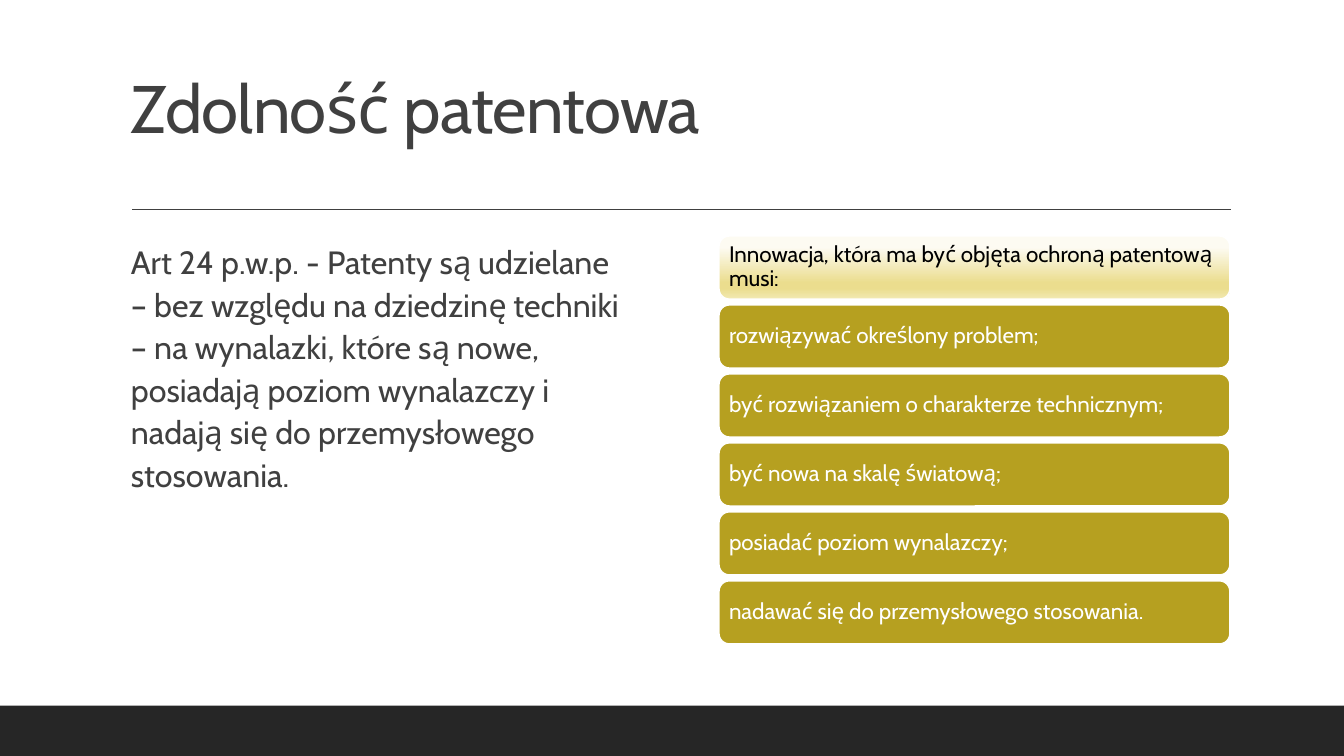
from pptx import Presentation
from pptx.dml.color import RGBColor
from pptx.enum.shapes import MSO_CONNECTOR, MSO_SHAPE
from pptx.enum.text import MSO_ANCHOR, PP_ALIGN
from pptx.oxml import parse_xml
from pptx.oxml.ns import nsdecls, qn
from pptx.util import Inches, Pt
from lxml.etree import SubElement

SLIDE_W, SLIDE_H = 13.33, 7.5
LEFT, CONTENT_W = 1.2, 11
COLUMN_W = 5.07
FONT = "Cabin"
DARK, GREY, OLIVE, WHITE, BLACK = "262626", "404040", "B6A020", "FFFFFF", "000000"
HEADER_STOPS = [(18, "FDFBF2"), (74, "EBDD8E"), (83, "EBDD8E"), (100, "F2E9B3")]

TITLE = "Zdolność patentowa"
ARTICLE = (
    "Art 24 p.w.p. - Patenty są udzielane – bez względu na dziedzinę techniki "
    "– na wynalazki, które są nowe, posiadają poziom wynalazczy i nadają się "
    "do przemysłowego stosowania."
)
REQUIREMENTS = [
    "Innowacja, która ma być objęta ochroną patentową musi:",
    "rozwiązywać określony problem;",
    "być rozwiązaniem o charakterze technicznym;",
    "być nowa na skalę światową;",
    "posiadać poziom wynalazczy;",
    "nadawać się do przemysłowego stosowania.",
]


def color(value):
    return RGBColor.from_string(value)


def inches(box):
    return [Inches(length) for length in box]


def write(shape, text, size, text_color, spacing, anchor, insets):
    """Fill a shape with one left-aligned paragraph and return its run."""
    frame = shape.text_frame
    frame.word_wrap = True
    frame.vertical_anchor = anchor
    (frame.margin_left, frame.margin_top,
     frame.margin_right, frame.margin_bottom) = inches(insets)
    paragraph = frame.paragraphs[0]
    paragraph.alignment = PP_ALIGN.LEFT
    paragraph.line_spacing = spacing
    run = paragraph.add_run()
    run.text = text
    run.font.name = FONT
    run.font.size = Pt(size)
    run.font.color.rgb = color(text_color)
    return run


def add_panel(slide, kind, box, fill):
    panel = slide.shapes.add_shape(kind, *inches(box))
    panel.shadow.inherit = False
    panel.fill.solid()
    panel.fill.fore_color.rgb = color(fill)
    panel.line.fill.background()
    return panel


def shade(panel, stops):
    """Replace the solid fill by a vertical gradient."""
    marks = "".join(
        f'<a:gs pos="{share * 1000}"><a:srgbClr val="{value}"/></a:gs>'
        for share, value in stops
    )
    gradient = parse_xml(
        f'<a:gradFill {nsdecls("a")} rotWithShape="1"><a:gsLst>{marks}</a:gsLst>'
        '<a:lin ang="5400000" scaled="0"/></a:gradFill>'
    )
    properties = panel.element.spPr
    properties.replace(properties.find(qn("a:solidFill")), gradient)


def add_title(slide, box):
    left, top, width, height = box
    title = slide.shapes.add_textbox(*inches(box))
    run = write(title, TITLE, 48, GREY, 0.9, MSO_ANCHOR.MIDDLE, (0.1, 0.05, 0.1, 0.05))
    run.font._element.set("spc", "-50")

    # Rule under the title
    rule_y = top + height + 0.18
    rule = slide.shapes.add_connector(
        MSO_CONNECTOR.STRAIGHT,
        *inches((left + 0.11, rule_y, left + width + 0.01, rule_y)),
    )
    rule.line.color.rgb = color(GREY)
    rule.line.width = Pt(1)
    SubElement(rule.element.spPr, qn("a:effectLst"))


def add_article(slide, box):
    article = slide.shapes.add_textbox(*inches(box))
    write(article, ARTICLE, 23, GREY, 1.1, MSO_ANCHOR.TOP, (0.1, 0.05, 0, 0.05))


def add_requirements(slide, box):
    left, top, width, height = box
    gap = 0.055
    row_h = (height - gap * (len(REQUIREMENTS) - 1)) / len(REQUIREMENTS)
    for row, requirement in enumerate(REQUIREMENTS):
        is_header = row == 0
        row_box = (left, top + row * (row_h + gap), width, row_h)
        panel = add_panel(slide, MSO_SHAPE.ROUNDED_RECTANGLE, row_box, OLIVE)
        if is_header:
            shade(panel, HEADER_STOPS)
        panel.line.color.rgb = color(WHITE)
        panel.line.width = Pt(1.25)
        write(panel, requirement, 16, BLACK if is_header else WHITE, 0.9,
              MSO_ANCHOR.MIDDLE, (0.07,) * 4)


def main():
    deck = Presentation()
    deck.slide_width, deck.slide_height = inches((SLIDE_W, SLIDE_H))
    slide = deck.slides.add_slide(deck.slide_layouts[6])

    # Footer band
    add_panel(slide, MSO_SHAPE.RECTANGLE, (0, 7, SLIDE_W, 0.5), DARK)

    # Title and the two columns
    add_title(slide, (LEFT, 0.31, CONTENT_W, 1.59))
    add_article(slide, (LEFT, 2.32, COLUMN_W, 4.1))
    add_requirements(slide, (LEFT + CONTENT_W - COLUMN_W, 2.34, COLUMN_W, 4.05))

    deck.save("out.pptx")


if __name__ == "__main__":
    main()
